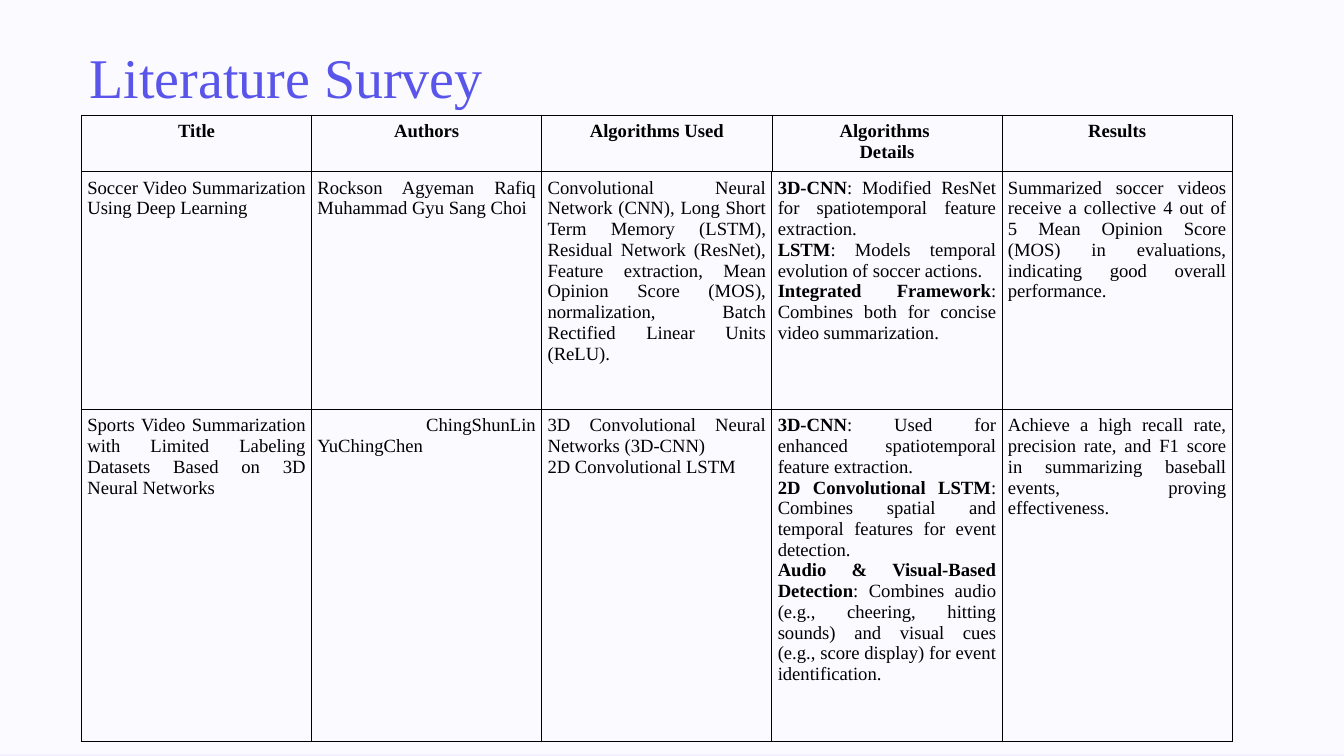
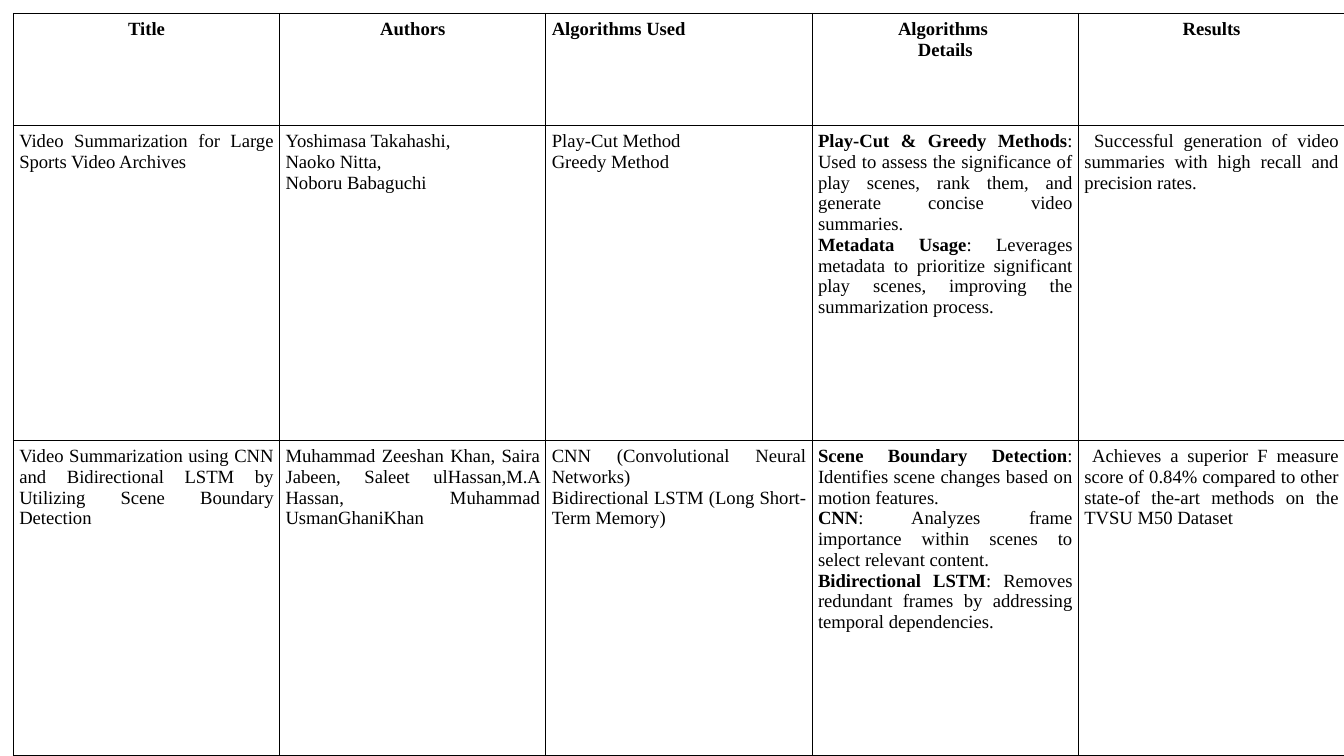
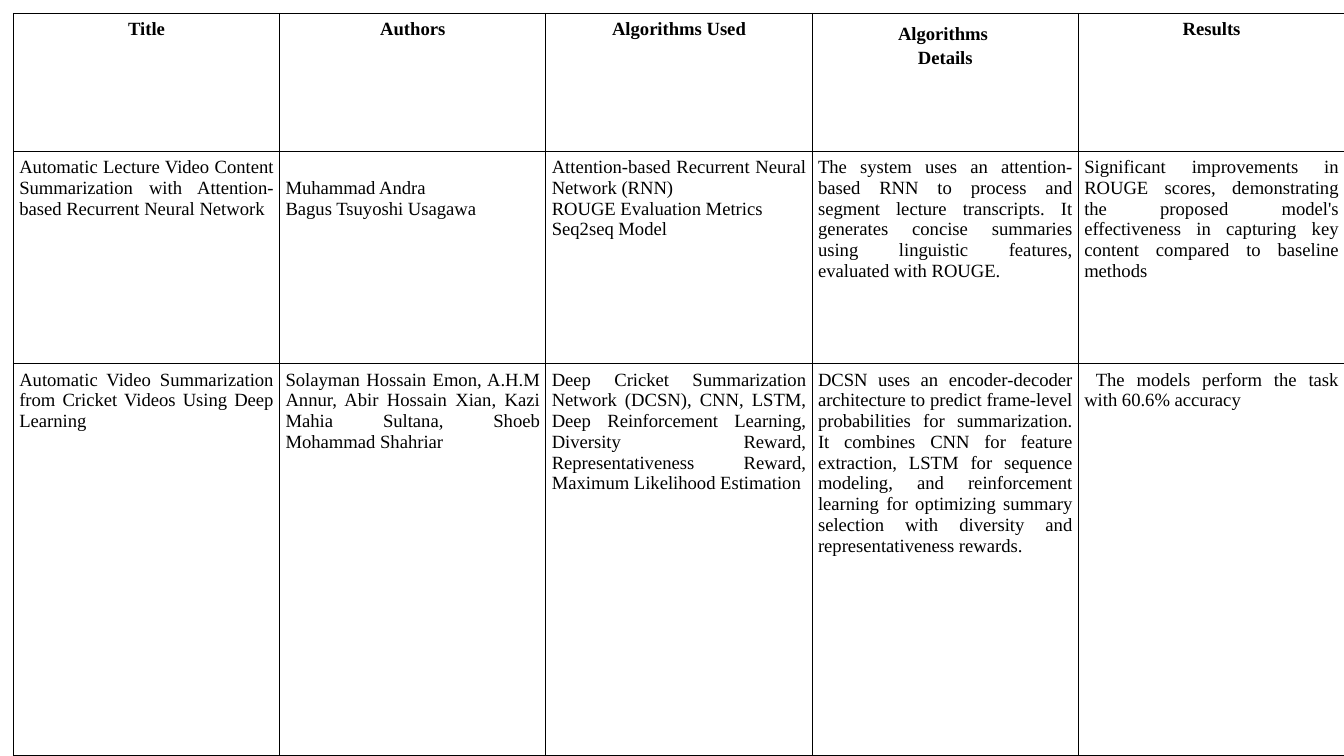
import lxml.etree
import pptx
import pptx.dml.color
import pptx.enum.shapes
import pptx.enum.text
import pptx.oxml.ns
import pptx.util

Inches = pptx.util.Inches
Pt = pptx.util.Pt
Align = pptx.enum.text.PP_ALIGN
FONT = "Times New Roman"
BLACK, VIOLET, LAVENDER, PALE = "000000", "5955EB", "F4F0FF", "FBFAFF"
CELL_SIZE = 16
CELL_MARGIN = 0.07
BLANK_LINE = 0.25
HEADERS = ["Title", "Authors", "Algorithms Used", ["Algorithms ", "Details"], "Results"]

SPORTS_ROWS = [
    [
        "Soccer Video Summarization Using Deep Learning",
        "Rockson Agyeman Rafiq Muhammad Gyu Sang Choi",
        "Convolutional Neural Network (CNN), Long Short Term Memory (LSTM), "
        "Residual Network (ResNet), Feature extraction, Mean Opinion Score (MOS), "
        "normalization, Batch Rectified Linear Units (ReLU).",
        [
            ("3D-CNN", ": Modified ResNet for spatiotemporal feature extraction."),
            ("LSTM", ": Models temporal evolution of soccer actions."),
            ("Integrated Framework", ": Combines both for concise video summarization."),
        ],
        "Summarized soccer videos receive a collective 4 out of 5 Mean Opinion Score (MOS) "
        "in evaluations, indicating good overall performance.",
    ],
    [
        "Sports Video Summarization with Limited Labeling Datasets Based on 3D Neural Networks",
        " ChingShunLin YuChingChen",
        ["3D Convolutional Neural Networks (3D-CNN)", "2D Convolutional LSTM"],
        [
            ("3D-CNN", ": Used for enhanced spatiotemporal feature extraction."),
            ("2D Convolutional LSTM",
             ": Combines spatial and temporal features for event detection."),
            ("Audio & Visual-Based Detection",
             ": Combines audio (e.g., cheering, hitting sounds) and visual cues "
             "(e.g., score display) for event identification."),
        ],
        "Achieve a high recall rate, precision rate, and F1 score in summarizing "
        "baseball events, proving effectiveness. ",
    ],
]

SCENE_ROWS = [
    [
        "Video Summarization for Large Sports Video Archives",
        ["Yoshimasa Takahashi,", "Naoko Nitta,", "Noboru Babaguchi"],
        ["Play-Cut Method", "Greedy Method"],
        [
            ("Play-Cut & Greedy Methods",
             ": Used to assess the significance of play scenes, rank them, "
             "and generate concise video summaries."),
            ("Metadata Usage",
             ": Leverages metadata to prioritize significant play scenes, "
             "improving the summarization process."),
        ],
        " Successful generation of video summaries with high recall and precision rates.",
    ],
    [
        "Video Summarization using CNN and Bidirectional LSTM by Utilizing "
        "Scene Boundary Detection",
        "Muhammad Zeeshan Khan, Saira Jabeen, Saleet ulHassan,M.A Hassan, "
        "Muhammad UsmanGhaniKhan",
        ["CNN (Convolutional Neural Networks)", "Bidirectional LSTM (Long Short-Term Memory)"],
        [
            ("Scene Boundary Detection", ": Identifies scene changes based on motion features."),
            ("CNN", ": Analyzes frame importance within scenes to select relevant content."),
            ("Bidirectional LSTM",
             ": Removes redundant frames by addressing temporal dependencies."),
        ],
        " Achieves a superior F measure score of 0.84% compared to other state-of the-art "
        "methods on the TVSU M50 Dataset ",
    ],
]

LECTURE_ROWS = [
    [
        "Automatic Lecture Video Content Summarization with Attention-based "
        "Recurrent Neural Network",
        ["Muhammad Andra", "Bagus Tsuyoshi Usagawa"],
        ["Attention-based Recurrent Neural Network (RNN)", "ROUGE Evaluation Metrics",
         "Seq2seq Model"],
        "The system uses an attention-based RNN to process and segment lecture transcripts. "
        "It generates concise summaries using linguistic features, evaluated with ROUGE.",
        "Significant improvements in ROUGE scores, demonstrating the proposed model's "
        "effectiveness in capturing key content compared to baseline methods",
    ],
    [
        "Automatic Video Summarization from Cricket Videos Using Deep Learning",
        "Solayman Hossain Emon, A.H.M Annur, Abir Hossain Xian, Kazi Mahia Sultana, "
        "Shoeb Mohammad Shahriar",
        "Deep Cricket Summarization Network (DCSN), CNN, LSTM, Deep Reinforcement Learning, "
        "Diversity Reward, Representativeness Reward, Maximum Likelihood Estimation",
        "DCSN uses an encoder-decoder architecture to predict frame-level probabilities for "
        "summarization. It combines CNN for feature extraction, LSTM for sequence modeling, "
        "and reinforcement learning for optimizing summary selection with diversity and "
        "representativeness rewards.",
        " The models perform the task with 60.6% accuracy",
    ],
]


def color(value):
    """Turn a hex string into a colour."""
    return pptx.dml.color.RGBColor.from_string(value)


def add_run(paragraph, text, size, text_color, bold=False):
    """Add one styled run to a paragraph."""
    run = paragraph.add_run()
    run.text = text
    run.font.name = FONT
    run.font.size = Pt(size)
    run.font.bold = bold
    run.font.color.rgb = color(text_color)


def add_band(slide, left, top, width, height, fill):
    """Add a plain filled rectangle without outline."""
    shape = slide.shapes.add_shape(
        pptx.enum.shapes.MSO_SHAPE.RECTANGLE,
        Inches(left), Inches(top), Inches(width), Inches(height))
    shape.shadow.inherit = False
    shape.fill.solid()
    shape.fill.fore_color.rgb = color(fill)
    shape.line.fill.background()


def add_title(slide, text, left, top, width, height):
    """Add the large slide title."""
    box = slide.shapes.add_textbox(Inches(left), Inches(top), Inches(width), Inches(height))
    box.text_frame.word_wrap = True
    paragraph = box.text_frame.paragraphs[0]
    paragraph.line_spacing = 1.14
    add_run(paragraph, text, 48, VIOLET)


def set_borders(cell, width, top_width):
    """Draw black lines on the four sides of a cell."""
    properties = cell._tc.get_or_add_tcPr()
    for index, side in enumerate(("lnL", "lnR", "lnT", "lnB")):
        line = lxml.etree.Element(pptx.oxml.ns.qn(f"a:{side}"))
        line.set("w", str(Pt(top_width if side == "lnT" else width)))
        fill = lxml.etree.SubElement(line, pptx.oxml.ns.qn("a:solidFill"))
        lxml.etree.SubElement(fill, pptx.oxml.ns.qn("a:srgbClr")).set("val", BLACK)
        properties.insert(index, line)


def fill_cell(cell, content, alignment, bold=False):
    """Write the paragraphs of a cell; a pair is a bold term and its explanation."""
    cell.fill.background()
    cell.margin_left = cell.margin_right = Inches(CELL_MARGIN)
    cell.margin_top = cell.margin_bottom = Inches(CELL_MARGIN)
    frame = cell.text_frame
    for index, item in enumerate(content if isinstance(content, list) else [content]):
        paragraph = frame.add_paragraph() if index else frame.paragraphs[0]
        paragraph.alignment = alignment
        term, text = item if isinstance(item, tuple) else ("", item)
        if term:
            add_run(paragraph, term, CELL_SIZE, BLACK, True)
        add_run(paragraph, text, CELL_SIZE, BLACK, bold)


def add_survey_table(slide, left, top, column_width, row_heights, body_rows, header_line=1):
    """Add a survey table with its header row and return it."""
    columns = len(HEADERS)
    table = slide.shapes.add_table(
        len(row_heights), columns, Inches(left), Inches(top),
        Inches(column_width * columns), Inches(sum(row_heights))).table
    table.first_row = table.horz_banding = False
    for column in table.columns:
        column.width = Inches(column_width)
    for index, (height, contents) in enumerate(zip(row_heights, [HEADERS] + body_rows)):
        table.rows[index].height = Inches(height)
        is_header = index == 0
        for cell, content in zip(table.rows[index].cells, contents):
            fill_cell(cell, content, Align.CENTER if is_header else Align.JUSTIFY, is_header)
            set_borders(cell, header_line if is_header else 1, header_line if index < 2 else 1)
    return table


def add_title_slide(presentation):
    """Build the titled slide with the first two papers."""
    slide = presentation.slides.add_slide(presentation.slide_layouts[6])
    add_band(slide, 0, 0, 16, 9, LAVENDER)
    add_band(slide, 0, -0.02, 16, 9, PALE)
    add_title(slide, "Literature Survey", 0.97, 0.35, 8.42, 1.12)
    add_survey_table(slide, 0.97, 1.37, 2.74, [0.63, 2.83, 3.95], SPORTS_ROWS, 0.75)


def add_full_slide(presentation, row_heights, body_rows):
    """Build a slide filled by one table and return the table."""
    slide = presentation.slides.add_slide(presentation.slide_layouts[6])
    return add_survey_table(slide, 0.16, 0.16, 3.17, row_heights, body_rows)


def main():
    """Build and save the presentation."""
    presentation = pptx.Presentation()
    presentation.slide_width = Inches(16)
    presentation.slide_height = Inches(9)
    add_title_slide(presentation)

    scene_table = add_full_slide(presentation, [1.33, 3.75, 3.75], SCENE_ROWS)
    scene_table.cell(0, 2).text_frame.paragraphs[0].alignment = Align.LEFT

    lecture_table = add_full_slide(presentation, [1.64, 2.53, 4.66], LECTURE_ROWS)
    for paragraph in lecture_table.cell(0, 3).text_frame.paragraphs:
        paragraph.line_spacing = 1.2
    lecture_table.cell(1, 1).margin_top = Inches(CELL_MARGIN + BLANK_LINE)

    presentation.save("out.pptx")


if __name__ == "__main__":
    main()
